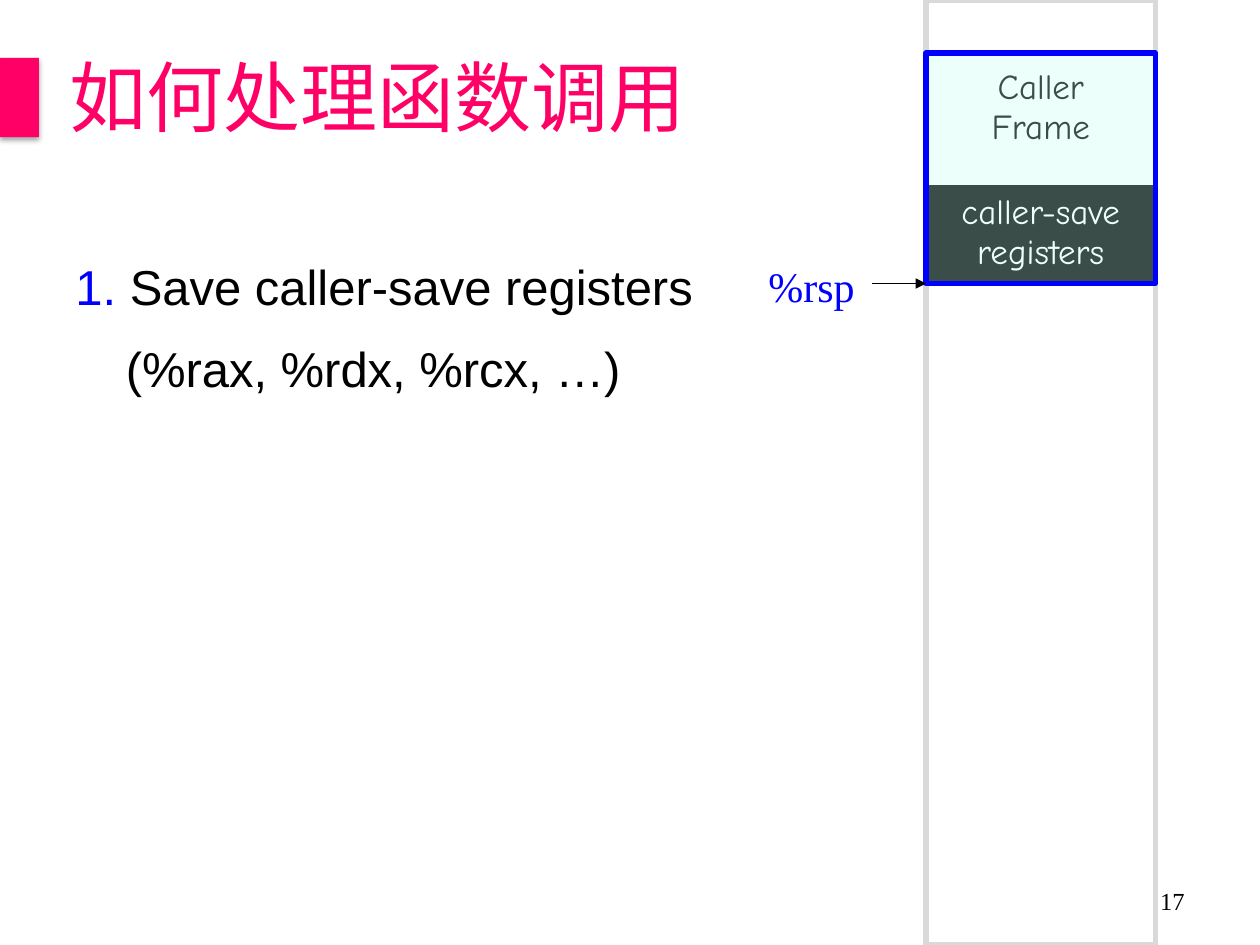
from collections import namedtuple
from lxml.etree import SubElement
from pptx import Presentation
from pptx.dml.color import RGBColor
from pptx.enum.shapes import MSO_CONNECTOR, MSO_SHAPE
from pptx.enum.text import MSO_ANCHOR, PP_ALIGN
from pptx.oxml import parse_xml
from pptx.oxml.ns import nsdecls, qn
from pptx.util import Inches, Pt

COLUMNS, ROWS = 100, 75
BLACK, BLUE, PINK = "000000", "0000FF", "FF0066"
Box = namedtuple("Box", "left top width height")


def color(value):
    return RGBColor.from_string(value)


def grid(count):
    return Inches(count / 10)


def place(box):
    return [grid(value) for value in box]


def style(span, size, face, value):
    span.font.size = Pt(size)
    span.font.name = face
    span.font.bold = False
    span.font.color.rgb = color(value)
    SubElement(span.font._element, qn("a:ea"), typeface=face)


def add_text(page, box, text, size, face, value, align=PP_ALIGN.LEFT,
             anchor=MSO_ANCHOR.TOP, wrap=True):
    frame = page.shapes.add_textbox(*place(box)).text_frame
    frame.word_wrap = wrap
    frame.vertical_anchor = anchor
    frame.text = text
    para = frame.paragraphs[0]
    para.alignment = align
    for span in para.runs:
        style(span, size, face, value)
    return frame


def add_rectangle(page, box, fill=None, line=None):
    shape = page.shapes.add_shape(MSO_SHAPE.RECTANGLE, *place(box))
    shape.shadow.inherit = False
    if fill:
        shape.fill.solid()
        shape.fill.fore_color.rgb = color(fill)
    else:
        shape.fill.background()
    if line:
        shape.line.color.rgb = color(line)
        shape.line.width = Pt(3)
    else:
        shape.line.fill.background()
    return shape


def add_cell_table(page, box, text, value, fill=None, top=0.5):
    table = page.shapes.add_table(1, 1, *place(box)).table
    table.first_row = table.horz_banding = False
    cell = table.cell(0, 0)
    properties = cell._tc.get_or_add_tcPr()
    for side in ("lnL", "lnR", "lnT", "lnB"):
        border = SubElement(properties, qn(f"a:{side}"), w=str(Pt(2.25)))
        SubElement(SubElement(border, qn("a:solidFill")), qn("a:srgbClr"), val=BLACK)
    if fill:
        cell.fill.solid()
        cell.fill.fore_color.rgb = color(fill)
    else:
        cell.fill.background()
    cell.margin_top = grid(top)
    cell.text_frame.text = text
    para = cell.text_frame.paragraphs[0]
    para.alignment = PP_ALIGN.CENTER
    for span in para.runs:
        style(span, 20, "Comic Neue", value)


def add_title(page, box):
    marker = add_rectangle(page, Box(box.left, box.top + 4.6, 3.1, 6.3), PINK)
    marker._element.spPr.remove(marker._element.spPr.find(qn("a:effectLst")))
    marker._element.spPr.append(parse_xml(
        f'<a:effectLst {nsdecls("a")}><a:outerShdw blurRad="{Pt(3.1)}" dist="{Pt(1.8)}" '
        'dir="5400000" rotWithShape="0"><a:srgbClr val="000000"><a:alpha val="35000"/>'
        '</a:srgbClr></a:outerShdw></a:effectLst>'))
    frame = add_text(page, Box(box.left + 3.1, box.top, box.width - 3.1, box.height),
                     "如何处理函数调用", 44, "Noto Sans CJK SC", PINK, anchor=MSO_ANCHOR.MIDDLE)
    frame.margin_left = grid(2.4)
    frame.margin_bottom = grid(0.8)


def add_step(page, box):
    frame = add_text(page, box, "1. ", 28, "Arial", BLUE)
    para = frame.paragraphs[0]
    para.line_spacing = 1.4
    properties = para._p.get_or_add_pPr()
    properties.set("marL", str(grid(4)))
    properties.set("indent", str(-grid(4)))
    for index, line in enumerate(("Save caller-save registers ", "(%rax, %rdx, %rcx, …)")):
        if index:
            para.add_line_break()
        span = para.add_run()
        span.text = line
        style(span, 28, "Arial", BLACK)


def add_stack(page, box):
    add_rectangle(page, box, line="D9D9D9")
    frame = Box(box.left, box.top + 4.2, box.width, 18.3)
    saved = Box(box.left, frame.top + 10.6, box.width, 7.7)
    add_cell_table(page, saved, "caller-save registers", "FFFFFF", BLACK)
    add_cell_table(page, frame, "Caller\vFrame", BLACK, top=1.2)
    overlay = add_rectangle(page, frame, "C2FFF0", BLUE)
    tint = overlay._element.spPr.find(qn("a:solidFill"))[0]
    SubElement(tint, qn("a:alpha"), val="30000")
    return frame


def add_pointer(page, frame):
    bottom = frame.top + frame.height
    add_text(page, Box(frame.left - 13.5, bottom - 2.3, 10.1, 5.1), "%rsp", 24,
             "Times New Roman", BLUE, wrap=False)
    arrow = page.shapes.add_connector(
        MSO_CONNECTOR.STRAIGHT, grid(frame.left - 4.3), grid(bottom),
        grid(frame.left), grid(bottom))
    arrow.line.color.rgb = color(BLACK)
    arrow.line.width = Pt(0.75)
    SubElement(arrow.line._get_or_add_ln(), qn("a:tailEnd"), type="triangle")
    SubElement(arrow._element.spPr, qn("a:effectLst"))


def add_page_number(page, box):
    add_text(page, box, "17", 14, "Times New Roman", BLACK,
             PP_ALIGN.RIGHT, MSO_ANCHOR.MIDDLE)


def main():
    deck = Presentation()
    deck.slide_width, deck.slide_height = grid(COLUMNS), grid(ROWS)
    page = deck.slides.add_slide(deck.slide_layouts[6])
    frame = add_stack(page, Box(73.5, 0, 18.2, ROWS))
    add_page_number(page, Box(71.7, 69.5, 23.3, 4))
    add_step(page, Box(5, 18, 95, 48))
    add_pointer(page, frame)
    add_title(page, Box(0, 0, COLUMNS, 15.5))
    deck.save("out.pptx")


if __name__ == "__main__":
    main()
